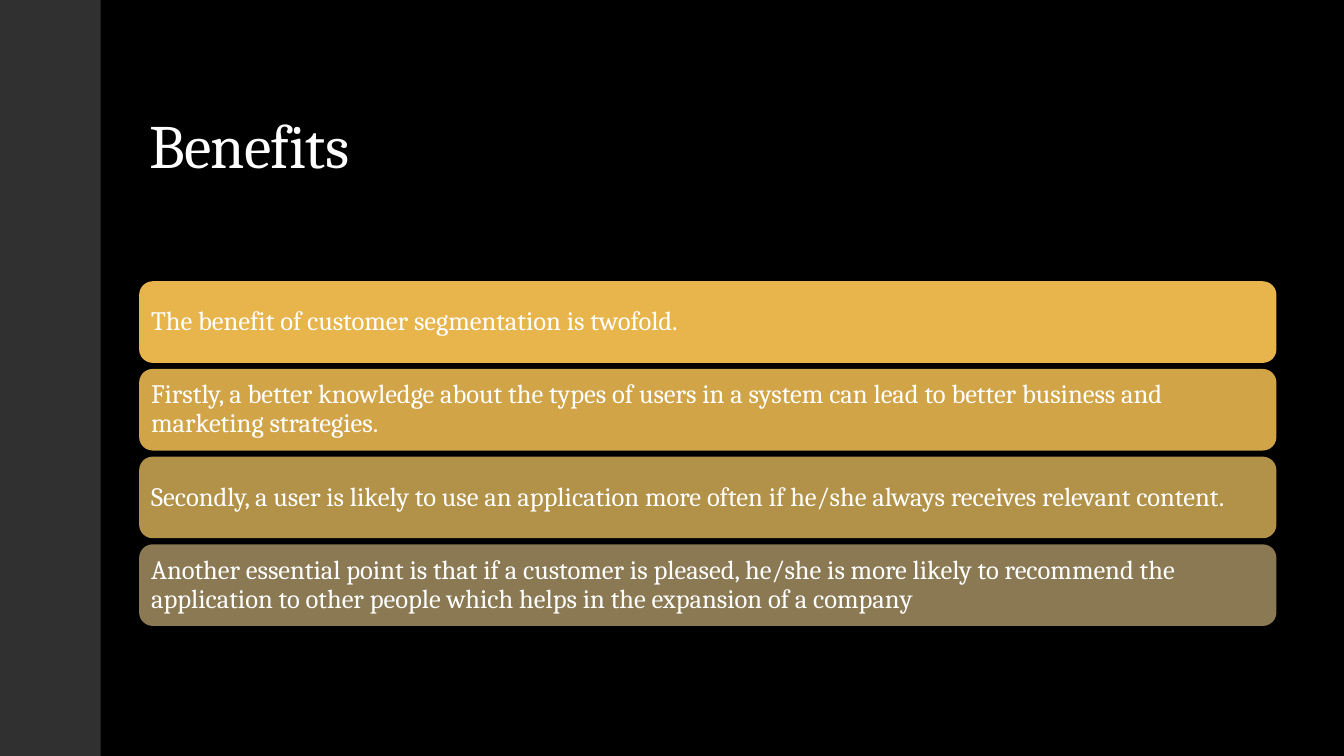
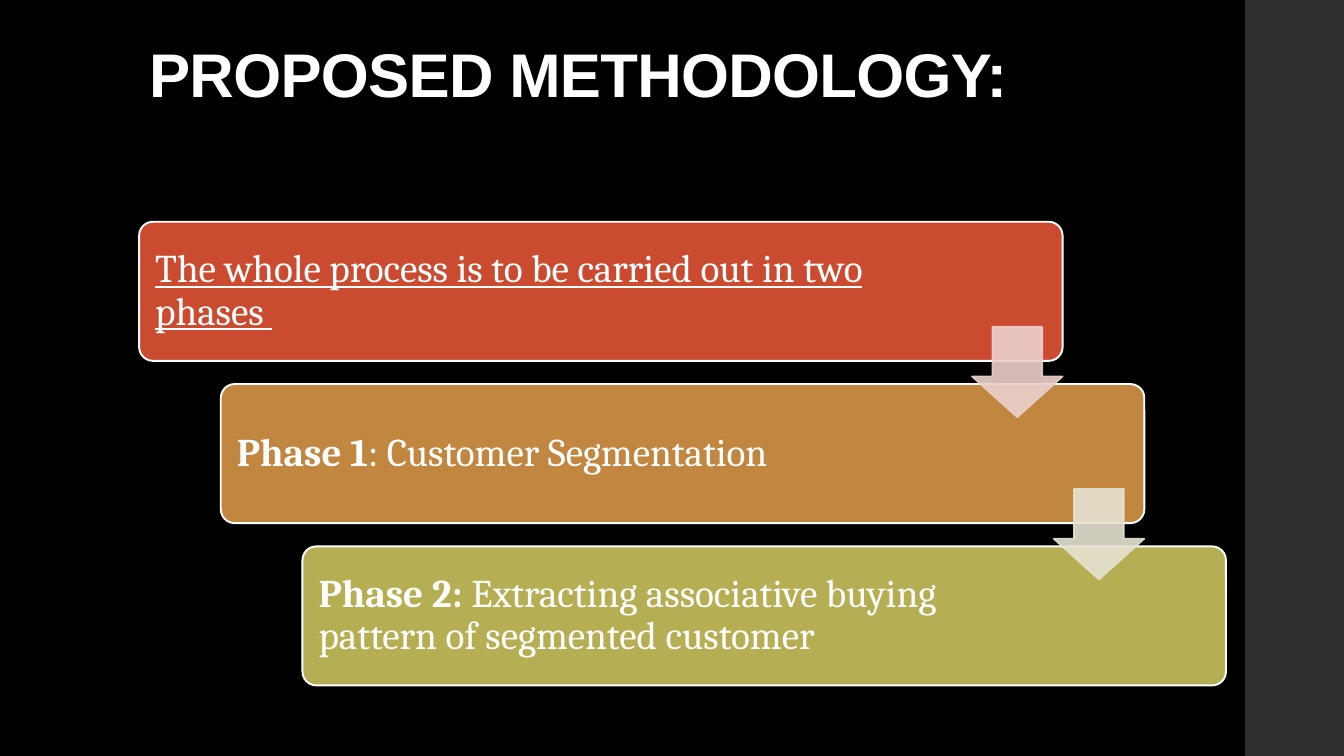
from lxml.etree import SubElement
from pptx import Presentation
from pptx.dml.color import RGBColor
from pptx.enum.shapes import MSO_SHAPE as Shape
from pptx.enum.text import MSO_ANCHOR as Anchor, PP_ALIGN as Align
from pptx.oxml.ns import qn
from pptx.util import Inches, Pt

COLORS = {
    "page": "000000", "band": "303030", "text": "FFFFFF",
    "row1": "E8B54D", "row2": "D1A447", "row3": "B29148", "row4": "8A7952",
    "step1": "CB4B30", "step2": "C18741", "step3": "B5AE53",
    "arrow1": "ECD0CD", "arrow2": "E5E3D1",
}
BODY_FONT = "Cambria"
PAGE_WIDTH, PAGE_HEIGHT = 13.33, 7.5
BAND_WIDTH = 1
LEFT = 1.38  # shared left edge of titles and content

BENEFITS = [
    "The benefit of customer segmentation is twofold.",
    "Firstly, a better knowledge about the types of users in a system can lead "
    "to better business and marketing strategies.",
    "Secondly, a user is likely to use an application more often if he/she "
    "always receives relevant content.",
    "Another essential point is that if a customer is pleased, he/she is more "
    "likely to recommend the application to other people which helps in the "
    "expansion of a company",
]
# Each step is a list of (text, run format) pairs
STEPS = [
    [("The whole process is to be carried out in two phases ", {"underline": True})],
    [("Phase 1", {"bold": True}), (": Customer Segmentation", {})],
    [("Phase 2:", {"bold": True}),
     (" Extracting associative buying pattern of segmented customer", {})],
]


def color(name):
    return RGBColor.from_string(COLORS[name])


def set_opacity(fill_format, percent):
    """Make a solid fill or line colour partly transparent."""
    for solid in fill_format.iter(qn("a:srgbClr")):
        SubElement(solid, qn("a:alpha")).set("val", str(percent * 1000))


def add_text(shape, spans, size, font=BODY_FONT, anchor=Anchor.MIDDLE,
             insets=(0.1, 0.05, 0.1, 0.05), spacing=None):
    """Write one left-aligned paragraph of (text, format) spans."""
    frame = shape.text_frame
    frame.word_wrap = True
    frame.vertical_anchor = anchor
    (frame.margin_left, frame.margin_top,
     frame.margin_right, frame.margin_bottom) = map(Inches, insets)
    para = frame.paragraphs[0]
    para.alignment = Align.LEFT
    para.line_spacing = 0.9
    for text, style in spans:
        span = para.add_run()
        span.text = text
        span.font.name = font
        span.font.size = Pt(size)
        span.font.color.rgb = color("text")
        span.font.bold = style.get("bold", False)
        span.font.underline = style.get("underline", False)
        if spacing is not None:
            span.font._element.set("spc", str(int(spacing * 100)))


def add_block(page, kind, box, fill, line=None, line_width=1, adjustments=()):
    """Add a preset shape with a solid fill and an optional outline."""
    block = page.shapes.add_shape(kind, *map(Inches, box))
    block.shadow.inherit = False
    for index, value in enumerate(adjustments):
        block.adjustments[index] = value
    block.fill.solid()
    block.fill.fore_color.rgb = color(fill)
    if line:
        block.line.color.rgb = color(line)
        block.line.width = Pt(line_width)
    else:
        block.line.fill.background()
    return block


def add_page(deck, title, title_box, band_left, font=BODY_FONT, bold=False):
    """Start a slide with the dark page, side band and title."""
    page = deck.slides.add_slide(deck.slide_layouts[6])
    page.background.fill.solid()
    page.background.fill.fore_color.rgb = color("page")
    add_block(page, Shape.RECTANGLE, (band_left, 0, BAND_WIDTH, PAGE_HEIGHT), "band")
    box = page.shapes.add_textbox(*map(Inches, title_box))
    add_text(box, [(title, {"bold": bold})], 44, font=font,
             anchor=Anchor.BOTTOM, spacing=-0.5)
    return page


def add_rows(page, box, texts, gap=0.06):
    """Stack equal full-width rows in the box."""
    left, top, width, height = box
    row_height = (height - gap * (len(texts) - 1)) / len(texts)
    for index, text in enumerate(texts):
        row_top = top + index * (row_height + gap)
        row = add_block(page, Shape.ROUNDED_RECTANGLE,
                        (left, row_top, width, row_height), f"row{index + 1}")
        add_text(row, [(text, {})], 19, insets=(0.08,) * 4)


def add_staircase(page, box, steps, card_width=9.16, card_height=1.38, arrow=0.9):
    """Place cards from top left to bottom right, linked by block arrows."""
    left, top, width, height = box
    step_x = (width - card_width) / (len(steps) - 1)
    step_y = (height - card_height) / (len(steps) - 1)
    # Cards
    for index, spans in enumerate(steps):
        card = add_block(page, Shape.ROUNDED_RECTANGLE,
                         (left + index * step_x, top + index * step_y,
                          card_width, card_height),
                         f"step{index + 1}", line="text", line_width=1.35,
                         adjustments=(0.1,))
        add_text(card, spans, 28, insets=(0.12, 0.12, 1.82, 0.12))
    # Arrows, flush with the right edge of the upper card
    for index in range(len(steps) - 1):
        name = f"arrow{index + 1}"
        pointer = add_block(page, Shape.DOWN_ARROW,
                            (left + index * step_x + card_width - arrow,
                             top + index * step_y + 1.04, arrow, arrow),
                            name, line=name, line_width=1.1,
                            adjustments=(0.55, 0.45))
        set_opacity(pointer._element.spPr, 90)


def build_benefits(deck):
    page = add_page(deck, "Benefits", (LEFT, 0.4, 11.28, 1.45), band_left=0)
    add_rows(page, (LEFT, 2.79, 11.28, 3.42), BENEFITS)


def build_methodology(deck):
    page = add_page(deck, "PROPOSED METHODOLOGY:", (LEFT, 0.4, 10.78, 0.75),
                    band_left=12.35, font="Arial", bold=True)
    add_staircase(page, (LEFT, 2.2, 10.78, 4.6), STEPS)


def main():
    deck = Presentation()
    deck.slide_width = Inches(PAGE_WIDTH)
    deck.slide_height = Inches(PAGE_HEIGHT)
    build_benefits(deck)
    build_methodology(deck)
    deck.save("out.pptx")


if __name__ == "__main__":
    main()
